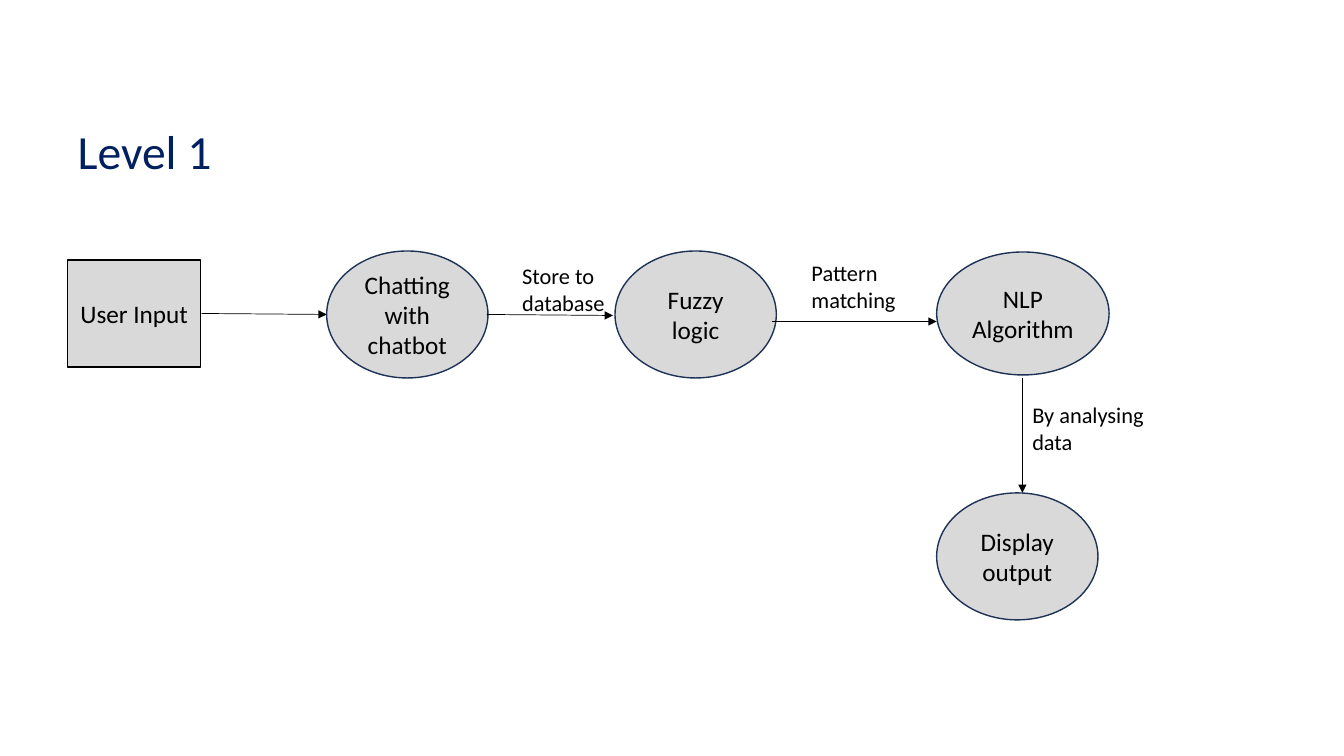
from dataclasses import dataclass

from lxml import etree
from pptx import Presentation
from pptx.dml.color import RGBColor
from pptx.enum import shapes, text
from pptx.oxml.ns import qn
from pptx.util import Inches, Pt


@dataclass(frozen=True)
class Theme:
    font: str = "Calibri"
    title: str = "002060"
    ink: str = "000000"
    fill: str = "D9D9D9"
    outline: str = "1E3256"
    title_size: int = 34
    node_size: int = 18
    label_size: int = 16
    outline_width: float = 1
    arrow_width: float = 0.5


THEME = Theme()
RECT, OVAL = shapes.MSO_SHAPE.RECTANGLE, shapes.MSO_SHAPE.OVAL

TITLE = ("Level 1", (0.67, 1.16, 1.99, 0.67))
NODES = [
    ("User Input", RECT, THEME.ink, (0.67, 2.58, 1.32, 1.06)),
    ("Chatting with chatbot", OVAL, THEME.outline, (3.24, 2.49, 1.6, 1.26)),
    ("Fuzzy logic", OVAL, THEME.outline, (6.1, 2.49, 1.6, 1.26)),
    ("NLP Algorithm", OVAL, THEME.outline, (9.29, 2.5, 1.71, 1.22)),
    ("Display output", OVAL, THEME.outline, (9.29, 4.89, 1.6, 1.26)),
]
ARROWS = [
    (2, 3.11, 3.24, 3.12),
    (4.83, 3.12, 6.08, 3.13),
    (7.66, 3.19, 9.29, 3.19),
    (10.14, 3.75, 10.14, 4.89),
]
LABELS = [
    ("Store to database", (5.08, 2.55, 1.09, 0.64)),
    ("Pattern matching", (7.95, 2.52, 1.09, 0.64)),
    ("By analysing data", (10.14, 3.93, 1.37, 0.64)),
]


def inches(values):
    return [Inches(v) for v in values]


def write(sp, words, size, color, align, anchor):
    tf = sp.text_frame
    tf.text = words
    tf.word_wrap = True
    tf.auto_size = text.MSO_AUTO_SIZE.NONE
    tf.vertical_anchor = anchor
    p = tf.paragraphs[0]
    p.alignment = align
    font = p.runs[0].font
    font.name = THEME.font
    font.size = Pt(size)
    font.color.rgb = RGBColor.from_string(color)


def write_left(sp, words, size, color):
    write(sp, words, size, color, text.PP_ALIGN.LEFT, text.MSO_ANCHOR.TOP)


def add_title(slide, words, box):
    sp = slide.shapes.title
    sp.left, sp.top, sp.width, sp.height = inches(box)
    write_left(sp, words, THEME.title_size, THEME.title)


def add_node(slide, words, kind, outline, box):
    sp = slide.shapes.add_shape(kind, *inches(box))
    sp.shadow.inherit = False
    sp.fill.solid()
    sp.fill.fore_color.rgb = RGBColor.from_string(THEME.fill)
    sp.line.color.rgb = RGBColor.from_string(outline)
    sp.line.width = Pt(THEME.outline_width)
    write(sp, words, THEME.node_size, THEME.ink,
          text.PP_ALIGN.CENTER, text.MSO_ANCHOR.MIDDLE)


def add_arrow(slide, ends):
    line = slide.shapes.add_connector(shapes.MSO_CONNECTOR.STRAIGHT, *inches(ends))
    line.line.color.rgb = RGBColor.from_string(THEME.ink)
    line.line.width = Pt(THEME.arrow_width)
    props = line._element.spPr
    etree.SubElement(props.find(qn("a:ln")), qn("a:tailEnd"), type="triangle")
    etree.SubElement(props, qn("a:effectLst"))


def add_label(slide, words, box):
    sp = slide.shapes.add_textbox(*inches(box))
    write_left(sp, words, THEME.label_size, THEME.ink)


def main():
    prs = Presentation()
    prs.slide_width, prs.slide_height = inches((13.33, 7.5))
    slide = prs.slides.add_slide(prs.slide_layouts.get_by_name("Title Only"))
    add_title(slide, *TITLE)
    for node in NODES:
        add_node(slide, *node)
    for ends in ARROWS:
        add_arrow(slide, ends)
    for label in LABELS:
        add_label(slide, *label)
    prs.save("out.pptx")


if __name__ == "__main__":
    main()
